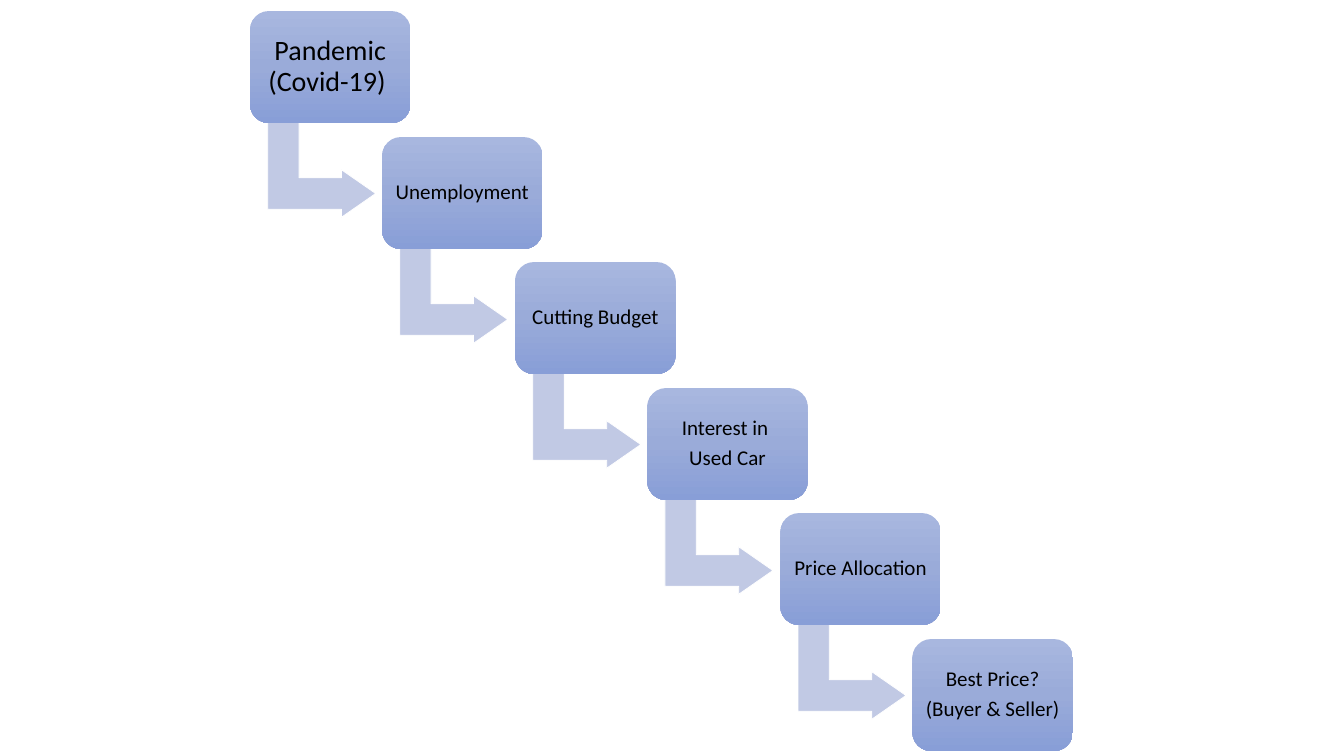
from copy import deepcopy
from dataclasses import dataclass

from pptx import Presentation
from pptx import util as u
from pptx.dml.color import RGBColor
from pptx.enum import shapes, text
from pptx.oxml.ns import qn

PX = 9144  # 100 px to the inch
SLIDE_WIDTH, SLIDE_HEIGHT = 1333, 750
BOX_WIDTH, BOX_HEIGHT = 159, 111
FIRST_LEFT, FIRST_TOP = 248, 11
LAST_LEFT, LAST_TOP = 905, 634
ARROW_WIDTH, ARROW_HEIGHT = 94, 107
ARROW_DX, ARROW_DY = 24, 104
GRADIENT = ((0, "A8B7DF"), (0.5, "9AABD9"), (1, "889ED7"))
ARROW_FILL, WHITE, BLACK = "C1C9E4", "FFFFFF", "000000"


@dataclass(frozen=True)
class Step:
    lines: tuple[str, ...]
    size: int = 15
    inset: int = 6


STEPS = (
    Step(("Pandemic (Covid-19) ",), size=20, inset=8),
    Step(("Unemployment",)),
    Step(("Cutting Budget",)),
    Step(("Interest in ", "Used Car")),
    Step(("Price Allocation",)),
    Step(("Best Price?", "(Buyer & Seller)")),
)


def px(length: int) -> u.Emu:
    return u.Emu(length * PX)


def color(code: str) -> RGBColor:
    return RGBColor.from_string(code)


def add_preset(page, kind, left: int, top: int, width: int, height: int):
    shape = page.shapes.add_shape(kind, px(left), px(top), px(width), px(height))
    shape.shadow.inherit = False
    return shape


def fill_gradient(shape) -> None:
    """Fill from top to bottom with the three gradient stops."""
    shape.fill.gradient()
    shape.fill.gradient_angle = 270
    first_stop = next(shape._element.iter(qn("a:gs")))
    first_stop.addnext(deepcopy(first_stop))
    for stop, (position, code) in zip(shape.fill.gradient_stops, GRADIENT):
        stop.position = position
        stop.color.rgb = color(code)


def add_arrow(page, left: int, top: int) -> None:
    arrow = add_preset(page, shapes.MSO_SHAPE.BENT_UP_ARROW,
                       left, top, ARROW_WIDTH, ARROW_HEIGHT)
    arrow.rotation = 90
    for index, value in enumerate((0.33, 0.25, 0.36)):
        arrow.adjustments[index] = value
    arrow.fill.solid()
    arrow.fill.fore_color.rgb = color(ARROW_FILL)
    arrow.line.color.rgb = color(WHITE)
    arrow.line.width = u.Pt(0.5)


def add_box(page, step: Step, left: int, top: int) -> None:
    box = add_preset(page, shapes.MSO_SHAPE.ROUNDED_RECTANGLE,
                     left, top, BOX_WIDTH, BOX_HEIGHT)
    fill_gradient(box)
    box.line.fill.background()
    frame = box.text_frame
    frame.word_wrap = True
    frame.vertical_anchor = text.MSO_ANCHOR.MIDDLE
    frame.margin_left = frame.margin_right = px(step.inset)
    frame.margin_top = frame.margin_bottom = px(step.inset)
    frame.text = "\n".join(step.lines)
    for para in frame.paragraphs:
        para.alignment = text.PP_ALIGN.CENTER
        para.line_spacing = 0.9
        para.space_after = u.Pt(0.35 * step.size)
        para.font.name = "Calibri"
        para.font.size = u.Pt(step.size)
        para.font.color.rgb = color(BLACK)


def main() -> None:
    deck = Presentation()
    deck.slide_width, deck.slide_height = px(SLIDE_WIDTH), px(SLIDE_HEIGHT)
    page = deck.slides.add_slide(deck.slide_layouts[6])
    last = len(STEPS) - 1
    for index, step in enumerate(STEPS):
        left = FIRST_LEFT + round((LAST_LEFT - FIRST_LEFT) * index / last)
        top = FIRST_TOP + round((LAST_TOP - FIRST_TOP) * index / last)
        if index < last:
            add_arrow(page, left + ARROW_DX, top + ARROW_DY)
        add_box(page, step, left, top)
    deck.save("out.pptx")


if __name__ == "__main__":
    main()
